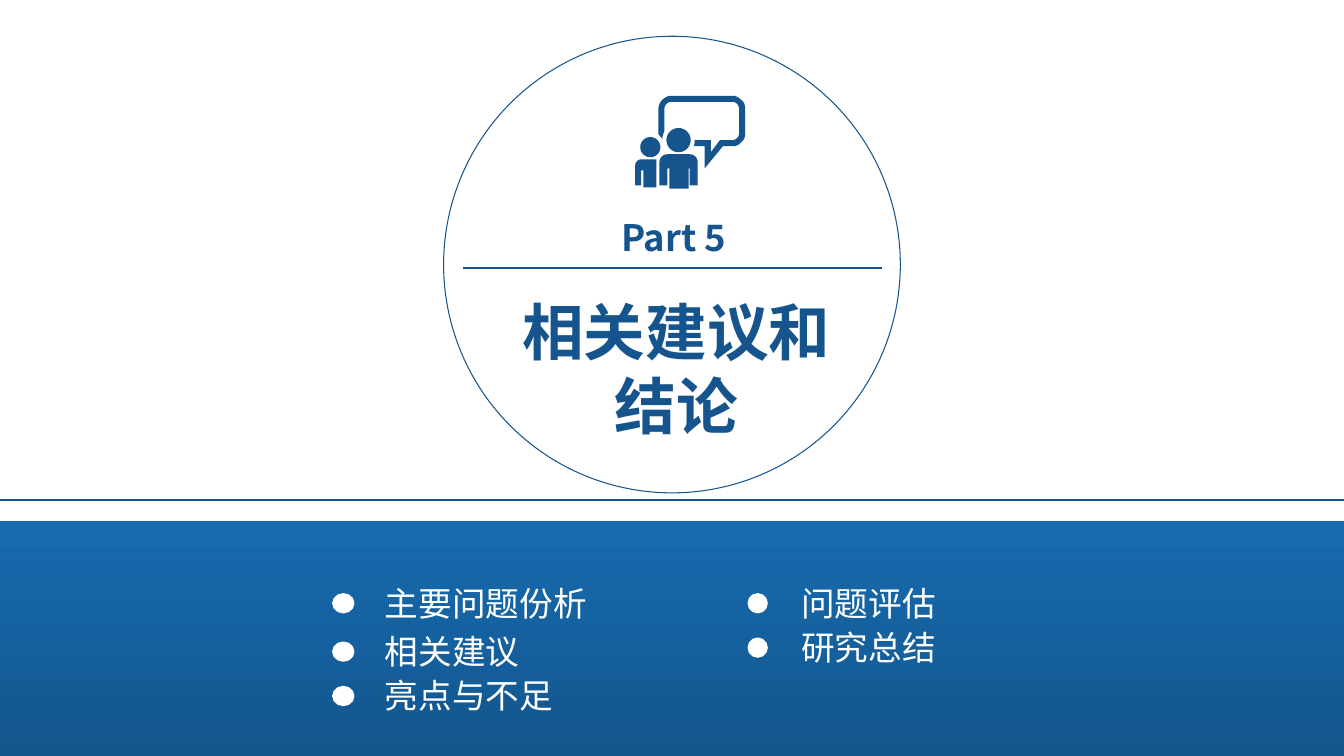
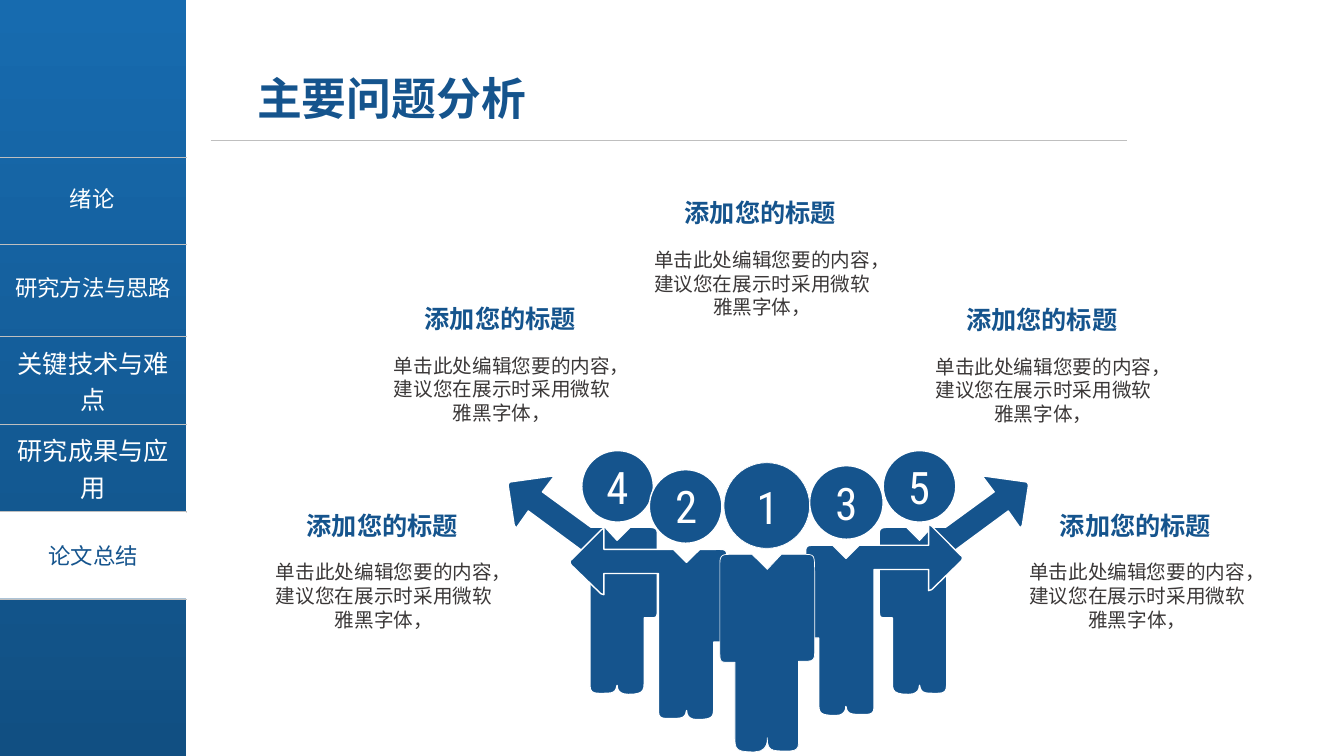
import math

import lxml.etree
import pptx
import pptx.dml.color
import pptx.enum.shapes
import pptx.enum.text
import pptx.oxml.ns
import pptx.util

WIDTH, HEIGHT = 13.33, 7.5
BLUE, GREY, DARK, WHITE = "15548D", "BFBFBF", "3B3838", "FFFFFF"
GRADIENT = ("176BAF", "114F82")
CJK, NUMERAL = "Noto Sans CJK SC", "Roboto Condensed"
INSET = 0.1, 0.05
BAND = 1.85

ALIGN = pptx.enum.text.PP_ALIGN
ANCHOR = pptx.enum.text.MSO_ANCHOR
FIT = pptx.enum.text.MSO_AUTO_SIZE
PRESET = pptx.enum.shapes.MSO_SHAPE

SECTION = {"title": "相关建议和结论", "part": "Part 5"}
TOPIC_COLUMNS = [
    {"dot": (3.31, 0.19), "text": (3.72, 3.13),
     "topics": [("主要问题份析", 5.73), ("相关建议", 6.21), ("亮点与不足", 6.65)]},
    {"dot": (7.43, 0.17), "text": (7.85, 2.91),
     "topics": [("问题评估", 5.73), ("研究总结", 6.17)]},
]

ANALYSIS_TITLE = "主要问题分析"
CHAPTER_ROWS = [("", 0.87), ("", 0.91), ("关键技术与难点", 0.87), ("研究成果与应用", 0.87),
                ("", 0.87)]
CHAPTER_LABELS = [("绪论", -0.01, 1.54), ("研究方法与思路", 0, 2.42), ("论文总结", 0, 5.08)]
CURRENT_CHAPTER = "论文总结"
CALLOUT = ("添加您的标题", "单击此处编辑您要的内容，建议您在展示时采用微软雅黑字体，")
CALLOUT_PLACES = [(2.92, 5.01), (4.09, 2.96), (6.67, 1.91), (9.46, 2.97), (10.39, 5.01)]

BUBBLE = [
    (6.66, 0.95), (7.27, 0.95), (7.3, 0.95, 7.33, 0.97, 7.35, 0.99),
    (7.38, 1.01, 7.39, 1.04, 7.39, 1.08), (7.39, 1.33),
    (7.39, 1.36, 7.38, 1.39, 7.35, 1.41), (7.33, 1.44, 7.3, 1.45, 7.27, 1.45),
    (7.17, 1.45), (6.99, 1.67), (6.99, 1.45), (6.88, 1.45),
    (6.89, 1.43, 6.89, 1.41, 6.89, 1.39), (7.05, 1.39), (7.05, 1.51), (7.14, 1.39),
    (7.27, 1.39), (7.28, 1.39, 7.3, 1.38, 7.31, 1.37),
    (7.32, 1.36, 7.33, 1.34, 7.33, 1.33), (7.33, 1.08),
    (7.33, 1.06, 7.32, 1.04, 7.31, 1.03), (7.3, 1.02, 7.28, 1.01, 7.27, 1.01),
    (6.66, 1.01), (6.64, 1.01, 6.62, 1.02, 6.61, 1.03),
    (6.6, 1.04, 6.59, 1.06, 6.59, 1.08), (6.59, 1.3),
    (6.58, 1.32, 6.57, 1.35, 6.57, 1.38), (6.53, 1.33), (6.53, 1.08),
    (6.53, 1.04, 6.55, 1.01, 6.57, 0.99), (6.59, 0.97, 6.62, 0.95, 6.66, 0.95),
]
NEAR_BODY = [
    (6.62, 1.84), (6.62, 1.67), (6.64, 1.67), (6.64, 1.87), (6.83, 1.87), (6.83, 1.67),
    (6.84, 1.67), (6.84, 1.84), (6.92, 1.84), (6.92, 1.61),
    (6.92, 1.56, 6.88, 1.53, 6.84, 1.53), (6.62, 1.53),
    (6.58, 1.53, 6.54, 1.56, 6.54, 1.61), (6.54, 1.84),
]
FAR_BODY = [
    (6.36, 1.84), (6.36, 1.69), (6.38, 1.69), (6.38, 1.86), (6.51, 1.86), (6.51, 1.58),
    (6.36, 1.58), (6.33, 1.58, 6.3, 1.61, 6.3, 1.64), (6.3, 1.84),
]
ICON_HEADS = [(6.45, 1.46, 0.1), (6.73, 1.39, 0.12)]

OUTER_BODY = [
    (10.17, 4.78), (9.74, 4.72), (9.86, 4.88), (9.38, 5.23), (9.24, 5.23), (9.12, 5.36),
    (8.99, 5.23), (8.85, 5.23), (8.76, 5.23, 8.72, 5.23, 8.72, 5.29), (8.72, 6.03),
    (8.72, 6.11, 8.72, 6.13, 8.77, 6.13), (8.85, 6.13), (8.85, 6.78),
    (8.85, 6.86, 8.87, 6.89, 9.01, 6.89), (9.11, 6.89, 9.12, 6.83, 9.12, 6.8),
    (9.13, 6.87, 9.16, 6.88, 9.25, 6.88), (9.33, 6.88, 9.39, 6.89, 9.39, 6.8),
    (9.39, 5.52), (10, 5.07), (10.12, 5.24), (10.14, 5.21), (10.2, 4.82),
    (10.2, 4.8, 10.19, 4.78, 10.17, 4.78),
]
INNER_BODY = [
    (9.53, 5.51), (9.24, 5.22), (9.21, 5.2), (9.21, 5.41), (8.52, 5.41), (8.39, 5.54),
    (8.26, 5.41), (8.11, 5.41), (8.03, 5.41, 7.99, 5.4, 7.99, 5.47), (7.99, 6.23),
    (7.99, 6.3, 7.99, 6.33, 8.03, 6.33), (8.12, 6.33), (8.12, 6.99),
    (8.12, 7.08, 8.14, 7.1, 8.29, 7.1), (8.38, 7.1, 8.39, 7.04, 8.39, 7.01),
    (8.4, 7.08, 8.43, 7.09, 8.53, 7.09), (8.61, 7.09, 8.67, 7.1, 8.67, 7.02),
    (8.67, 5.65), (9.21, 5.65), (9.21, 5.86), (9.24, 5.85), (9.53, 5.57),
    (9.55, 5.55, 9.55, 5.52, 9.53, 5.51),
]
FRONT_BODY = [
    (7.61, 5.65), (7.75, 5.5), (7.99, 5.5), (8.08, 5.5, 8.08, 5.51, 8.08, 5.68),
    (8.08, 6.48), (8.08, 6.57, 8.04, 6.56, 7.92, 6.56), (7.92, 7.37),
    (7.92, 7.46, 7.86, 7.45, 7.76, 7.45), (7.65, 7.45, 7.61, 7.44, 7.61, 7.32),
    (7.61, 7.32, 7.63, 7.46, 7.48, 7.46), (7.31, 7.46, 7.29, 7.44, 7.29, 7.33),
    (7.29, 6.57), (7.19, 6.57), (7.14, 6.57, 7.14, 6.54, 7.14, 6.45), (7.14, 5.58),
    (7.14, 5.49, 7.19, 5.5, 7.28, 5.5), (7.46, 5.5),
]
PEOPLE = [
    {"number": "5", "body": OUTER_BODY, "head": (8.76, 4.47, 0.72, 0.71), "label": (9, 4.56)},
    {"number": "4", "body": OUTER_BODY, "mirror": 7.62, "head": (5.77, 4.47, 0.71, 0.71),
     "label": (6.01, 4.56)},
    {"number": "2", "body": INNER_BODY, "mirror": 7.6, "lower": 0.04,
     "head": (6.44, 4.66, 0.72, 0.73), "label": (6.69, 4.75)},
    {"number": "3", "body": INNER_BODY, "head": (8.03, 4.62, 0.73, 0.73),
     "label": (8.28, 4.72)},
    {"number": "1", "body": FRONT_BODY, "head": (7.18, 4.59, 0.85, 0.85),
     "label": (7.5, 4.76), "line": 0.5},
]


def color(code):
    return pptx.dml.color.RGBColor.from_string(code)


def inches(*lengths):
    return [pptx.util.Inches(length) for length in lengths]


def apply(target, values):
    for name, value in values.items():
        setattr(target, name, value)


def element(parent, tag, **attributes):
    return lxml.etree.SubElement(parent, pptx.oxml.ns.qn(tag), **attributes)


def paint(shape, fill=None, line=None, weight=1):
    shape.shadow.inherit = False
    if isinstance(fill, tuple):
        shape.fill.gradient()
        shape.fill.gradient_angle = 270
        for stop, code in zip(shape.fill.gradient_stops, fill):
            stop.color.rgb = color(code)
    elif fill:
        shape.fill.solid()
        shape.fill.fore_color.rgb = color(fill)
    else:
        shape.fill.background()
    if line:
        shape.line.color.rgb = color(line)
        shape.line.width = pptx.util.Pt(weight)
    else:
        shape.line.fill.background()


def add_preset(page, preset, place, **look):
    shape = page.shapes.add_shape(preset, *inches(*place))
    paint(shape, **look)
    return shape


def add_rule(page, left, right, top, code, weight):
    rule = page.shapes.add_connector(pptx.enum.shapes.MSO_CONNECTOR.STRAIGHT,
                                     *inches(left, top, right, top))
    rule.line.color.rgb = color(code)
    rule.line.width = pptx.util.Pt(weight)
    element(rule._element.spPr, "a:effectLst")


def write(frame, text, size, code, align=ALIGN.LEFT, bold=False, font=CJK):
    para = frame.paragraphs[0]
    para.alignment = align
    span = para.add_run()
    span.text = text
    apply(span.font, {"name": font, "size": pptx.util.Pt(size), "bold": bold})
    span.font.color.rgb = color(code)
    element(span._r.get_or_add_rPr(), "a:ea", typeface=font)


def fill_box(box, place, text, size, code, inset=INSET, wrap=True, anchor=ANCHOR.TOP,
             fit=FIT.SHAPE_TO_FIT_TEXT, **style):
    apply(box, dict(zip(("left", "top", "width", "height"), inches(*place))))
    side, edge = inches(*inset)
    apply(box.text_frame, {"margin_left": side, "margin_right": side, "margin_top": edge,
                           "margin_bottom": edge, "word_wrap": wrap,
                           "vertical_anchor": anchor, "auto_size": fit})
    write(box.text_frame, text, size, code, **style)


def add_text(page, place, *content, **style):
    fill_box(page.shapes.add_textbox(*inches(*place)), place, *content, **style)


def flatten(outline, steps=6):
    points = [outline[0]]
    for segment in outline[1:]:
        if len(segment) == 2:
            points.append(segment)
            continue
        knots = [points[-1], segment[:2], segment[2:4], segment[4:]]
        for step in range(1, steps + 1):
            t = step / steps
            weights = [math.comb(3, k) * t ** k * (1 - t) ** (3 - k) for k in range(4)]
            points.append(tuple(sum(w * knot[axis] for w, knot in zip(weights, knots))
                                for axis in (0, 1)))
    return points


def circle(x, y, radius, count=40):
    turns = [2 * math.pi * k / count for k in range(count)]
    return [(x + radius * math.cos(turn), y + radius * math.sin(turn)) for turn in turns]


def add_outline(page, contours, **look):
    contours = [[inches(*point) for point in contour] for contour in contours]
    builder = page.shapes.build_freeform(*contours[0][0], scale=1.0)
    for index, contour in enumerate(contours):
        if index:
            builder.move_to(*contour[0])
        builder.add_line_segments(contour[1:], close=True)
    paint(builder.convert_to_shape(), **look)


def add_chapters(page):
    total = sum(height for _, height in CHAPTER_ROWS)
    table = page.shapes.add_table(len(CHAPTER_ROWS), 1, *inches(0, 1.56, BAND, total)).table
    apply(table, {"first_row": False, "horz_banding": False})
    for index, (name, height) in enumerate(CHAPTER_ROWS):
        table.rows[index].height = pptx.util.Inches(height)
        cell = table.cell(index, 0)
        cell.vertical_anchor = ANCHOR.MIDDLE
        cell.fill.background()
        if name:
            write(cell.text_frame, name, 18, WHITE, align=ALIGN.CENTER)
        properties = cell._tc.get_or_add_tcPr()
        for order, side in enumerate(("L", "R", "T", "B")):
            border = element(properties, "a:ln" + side, w="12700")
            if side in "TB":
                element(element(border, "a:solidFill"), "a:srgbClr", val=GREY)
            else:
                element(border, "a:noFill")
            properties.insert(order, border)
    for name, left, top in CHAPTER_LABELS:
        place = (left, top, BAND, 0.86)
        current = name == CURRENT_CHAPTER
        label = add_preset(page, PRESET.RECTANGLE, place, fill=WHITE if current else None)
        fill_box(label, place, name, 16, BLUE if current else WHITE, anchor=ANCHOR.MIDDLE,
                 fit=FIT.NONE, align=ALIGN.CENTER)


def add_person(page, person):
    look = {"fill": BLUE, "line": WHITE, "weight": person.get("line", 1)}
    points = flatten(person["body"])
    if "mirror" in person:
        points = [(2 * person["mirror"] - x, y) for x, y in points]
    lower = person.get("lower", 0)
    add_outline(page, [[(x, y + lower) for x, y in points]], **look)
    add_preset(page, PRESET.OVAL, person["head"], **look)


def build_section(page):
    add_preset(page, PRESET.RECTANGLE, (-0.49, 5.17, 14.31, 3.07), fill=GRADIENT)
    add_preset(page, PRESET.RECTANGLE, (-0.49, 4.96, 14.31, 2.18), line=BLUE, weight=1.5)
    add_preset(page, PRESET.OVAL, (4.4, 0.36, 4.53, 4.53), line=BLUE, weight=0.75)
    add_rule(page, 4.59, 8.75, 2.66, BLUE, 1)
    fill_box(page.shapes.title, (5.04, 2.87, 3.34, 1.58), SECTION["title"], 44, BLUE,
             align=ALIGN.CENTER, bold=True)
    add_text(page, (6.16, 2.13, 1.09, 0.44), SECTION["part"], 26, BLUE,
             inset=(0, 0), wrap=False, bold=True)
    for column in TOPIC_COLUMNS:
        dot_left, dot_width = column["dot"]
        left, width = column["text"]
        for topic, top in column["topics"]:
            add_preset(page, PRESET.OVAL, (dot_left, top + 0.17, dot_width, 0.17),
                       fill=WHITE, line=WHITE, weight=2.25)
            add_text(page, (left, top, width, 0.51), topic, 24, WHITE)
    contours = [flatten(outline) for outline in (BUBBLE, NEAR_BODY, FAR_BODY)]
    add_outline(page, contours + [circle(*head) for head in ICON_HEADS], fill=BLUE)


def build_analysis(page):
    add_preset(page, PRESET.RECTANGLE, (0, 0, BAND, HEIGHT), fill=GRADIENT)
    fill_box(page.shapes.title, (2.55, 0.7, 3.99, 0.54), ANALYSIS_TITLE, 32, BLUE,
             inset=(0, 0), bold=True)
    add_chapters(page)
    add_rule(page, 2.09, 11.18, 1.39, GREY, 0.5)
    for person in PEOPLE:
        add_person(page, person)
    for person in PEOPLE:
        add_text(page, (*person["label"], 0.23, 0.54), person["number"], 32, WHITE,
                 inset=(0, 0), wrap=False, font=NUMERAL, align=ALIGN.CENTER)
    heading, body = CALLOUT
    for left, top in CALLOUT_PLACES:
        add_text(page, (left, top, 1.72, 0.4), heading, 18, BLUE,
                 wrap=False, align=ALIGN.RIGHT, bold=True)
        add_text(page, (left - 0.29, top + 0.5, 2.36, 0.81), body, 14, DARK,
                 align=ALIGN.CENTER)


def main():
    deck = pptx.Presentation()
    deck.slide_width, deck.slide_height = inches(WIDTH, HEIGHT)
    for build in (build_section, build_analysis):
        build(deck.slides.add_slide(deck.slide_layouts[5]))
    deck.save("out.pptx")


if __name__ == "__main__":
    main()
